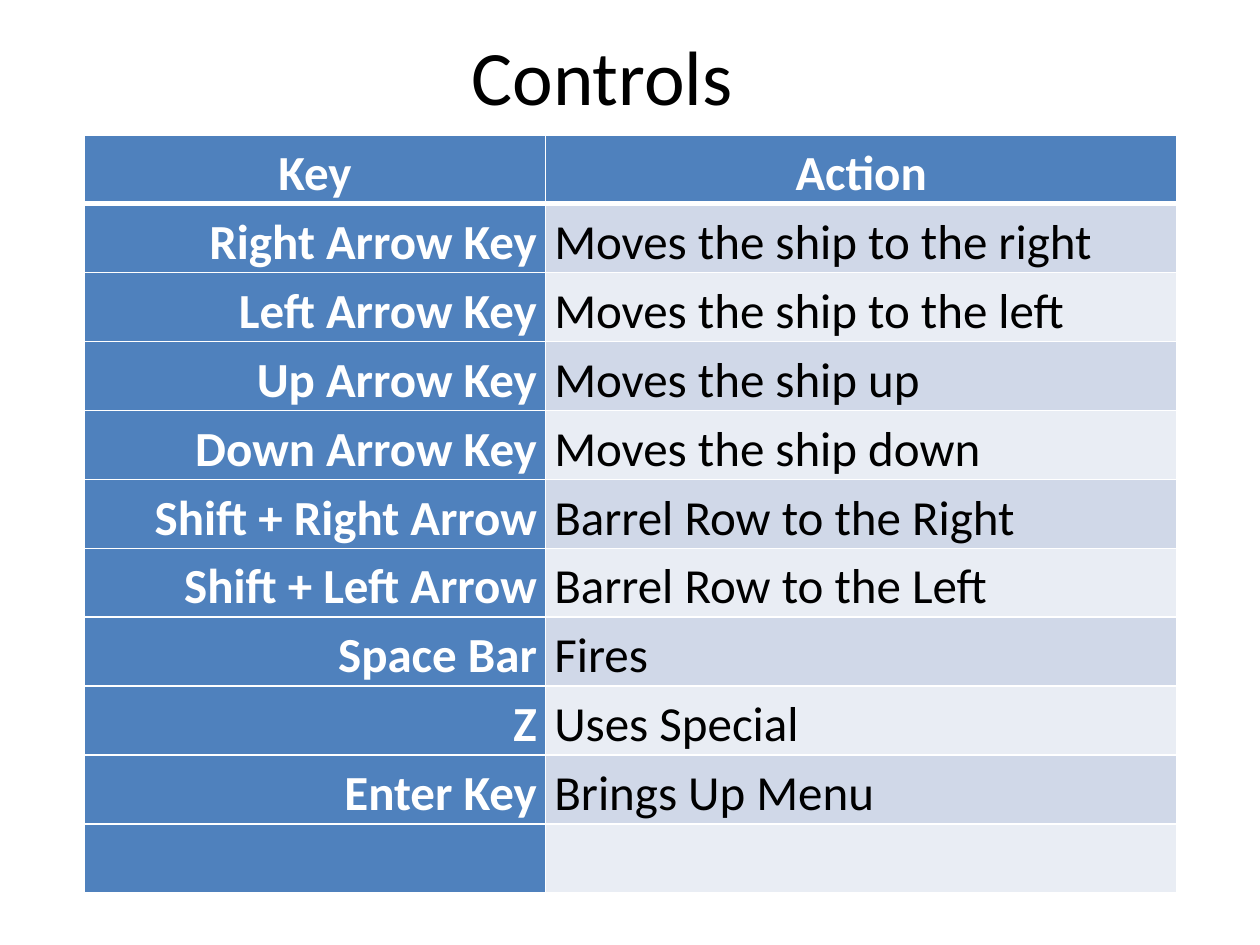
from lxml import etree
from pptx import Presentation
from pptx import util as u
from pptx.dml.color import RGBColor
from pptx.enum import text
from pptx.oxml import ns

COLORS = {
    "white": "FFFFFF",
    "black": "000000",
    "blue": "4F81BD",
    "band_dark": "D0D8E8",
    "band_light": "E9EDF4",
}
CONTROLS = [
    ("Key", "Action"),
    ("Right Arrow Key", "Moves the ship to the right"),
    ("Left Arrow Key", "Moves the ship to the left"),
    ("Up Arrow Key", "Moves the ship up"),
    ("Down Arrow Key", "Moves the ship down"),
    ("Shift + Right Arrow", "Barrel Row to the Right"),
    ("Shift + Left Arrow", "Barrel Row to the Left"),
    ("Space Bar", "Fires"),
    ("Z", "Uses Special"),
    ("Enter Key", "Brings Up Menu"),
    ("", ""),
]


class SlideBuilder:
    font_name = "Calibri"
    title_size = 44
    cell_size = 28

    def __init__(self, slide):
        self.slide = slide

    def color(self, name):
        return RGBColor.from_string(COLORS[name])

    def run(self, paragraph, words, size, color, bold=False):
        run = paragraph.add_run()
        run.text = words
        run.font.name = self.font_name
        run.font.size = u.Pt(size)
        run.font.bold = bold
        run.font.color.rgb = self.color(color)

    def title(self, words, left, top, width, height):
        heading = self.slide.shapes.title
        heading.left, heading.top = u.Inches(left), u.Inches(top)
        heading.width, heading.height = u.Inches(width), u.Inches(height)
        heading.text_frame.vertical_anchor = text.MSO_ANCHOR.MIDDLE
        paragraph = heading.text_frame.paragraphs[0]
        paragraph.alignment = text.PP_ALIGN.CENTER
        self.run(paragraph, words, self.title_size, "black")

    def border(self, cell, side, points):
        properties = cell._tc.get_or_add_tcPr()
        line = etree.SubElement(properties, ns.qn(f"a:ln{side}"), w=str(u.Pt(points)))
        fill = etree.SubElement(line, ns.qn("a:solidFill"))
        etree.SubElement(fill, ns.qn("a:srgbClr"), val=COLORS["white"])

    def cell(self, cell, words, fill, color, bold, alignment, top=1, bottom=1):
        for side, points in (("L", 1), ("R", 1), ("T", top), ("B", bottom)):
            self.border(cell, side, points)
        cell.fill.solid()
        cell.fill.fore_color.rgb = self.color(fill)
        if not words:
            return
        cell.vertical_anchor = text.MSO_ANCHOR.BOTTOM
        cell.margin_left = cell.margin_right = u.Inches(0.07)
        cell.margin_top = cell.margin_bottom = 0
        paragraph = cell.text_frame.paragraphs[0]
        paragraph.alignment = alignment
        paragraph.line_spacing = 1.15
        self.run(paragraph, words, self.cell_size, color, bold)

    def table(self, rows, left, top, column_widths, height):
        grid = self.slide.shapes.add_table(
            len(rows), len(column_widths), u.Inches(left), u.Inches(top),
            u.Inches(sum(column_widths)), u.Inches(height)).table
        for column, width in zip(grid.columns, column_widths):
            column.width = u.Inches(width)
        align = text.PP_ALIGN
        for index, (key, action) in enumerate(rows):
            key_cell, action_cell = grid.cell(index, 0), grid.cell(index, 1)
            if index == 0:
                for cell, words in ((key_cell, key), (action_cell, action)):
                    self.cell(cell, words, "blue", "white", True, align.CENTER, bottom=3)
                continue
            top_line = 3 if index == 1 else 1
            band = "band_dark" if index % 2 else "band_light"
            self.cell(key_cell, key, "blue", "white", True, align.RIGHT, top=top_line)
            self.cell(action_cell, action, band, "black", False, align.LEFT, top=top_line)


def main():
    deck = Presentation()
    deck.slide_width, deck.slide_height = u.Inches(10), u.Inches(7.5)
    builder = SlideBuilder(deck.slides.add_slide(deck.slide_layouts[5]))
    builder.table(CONTROLS, 0.67, 1.07, (3.66, 5.01), 5.98)
    builder.title("Controls", 0.28, -0.03, 9, 1.25)
    deck.save("out.pptx")


if __name__ == "__main__":
    main()
